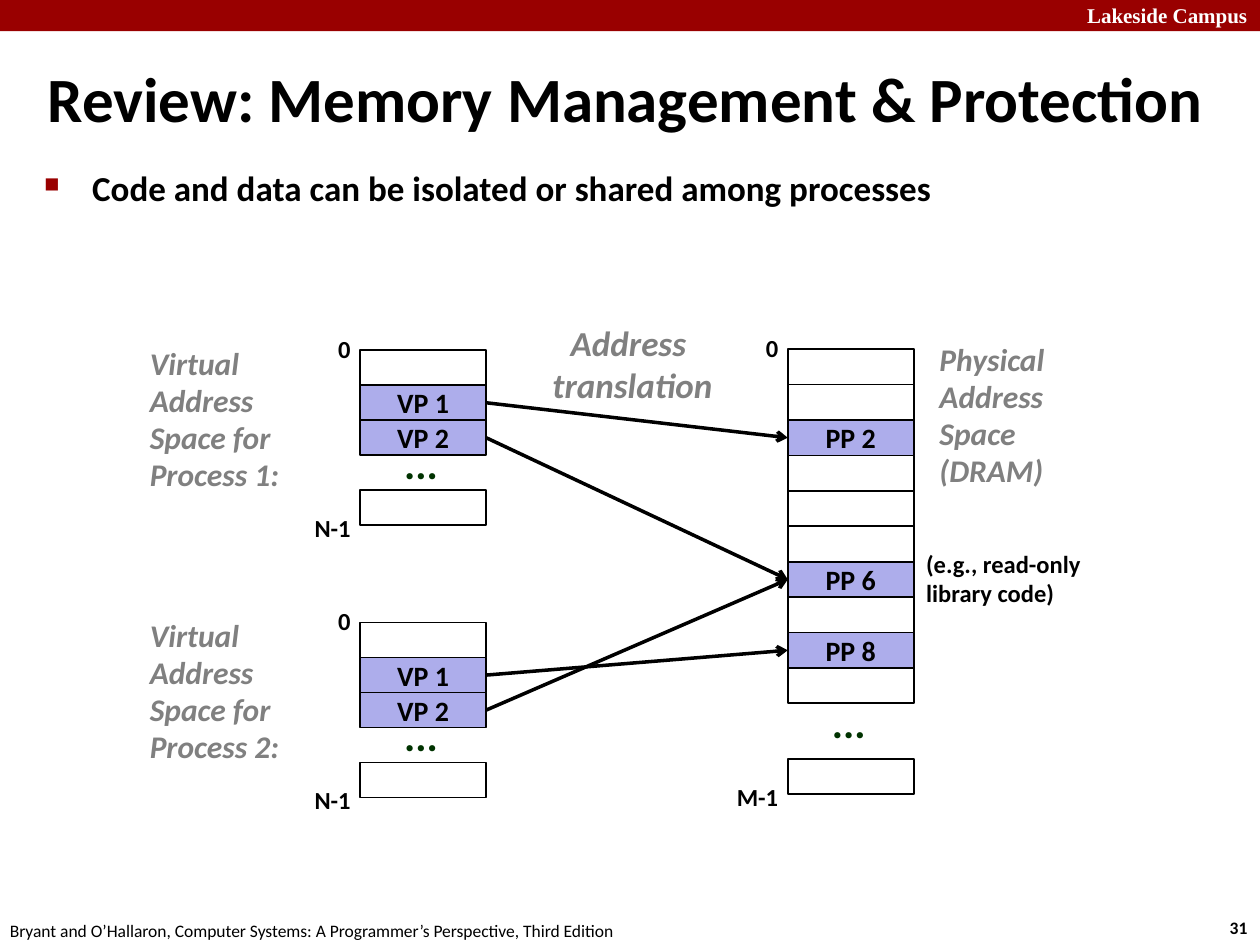
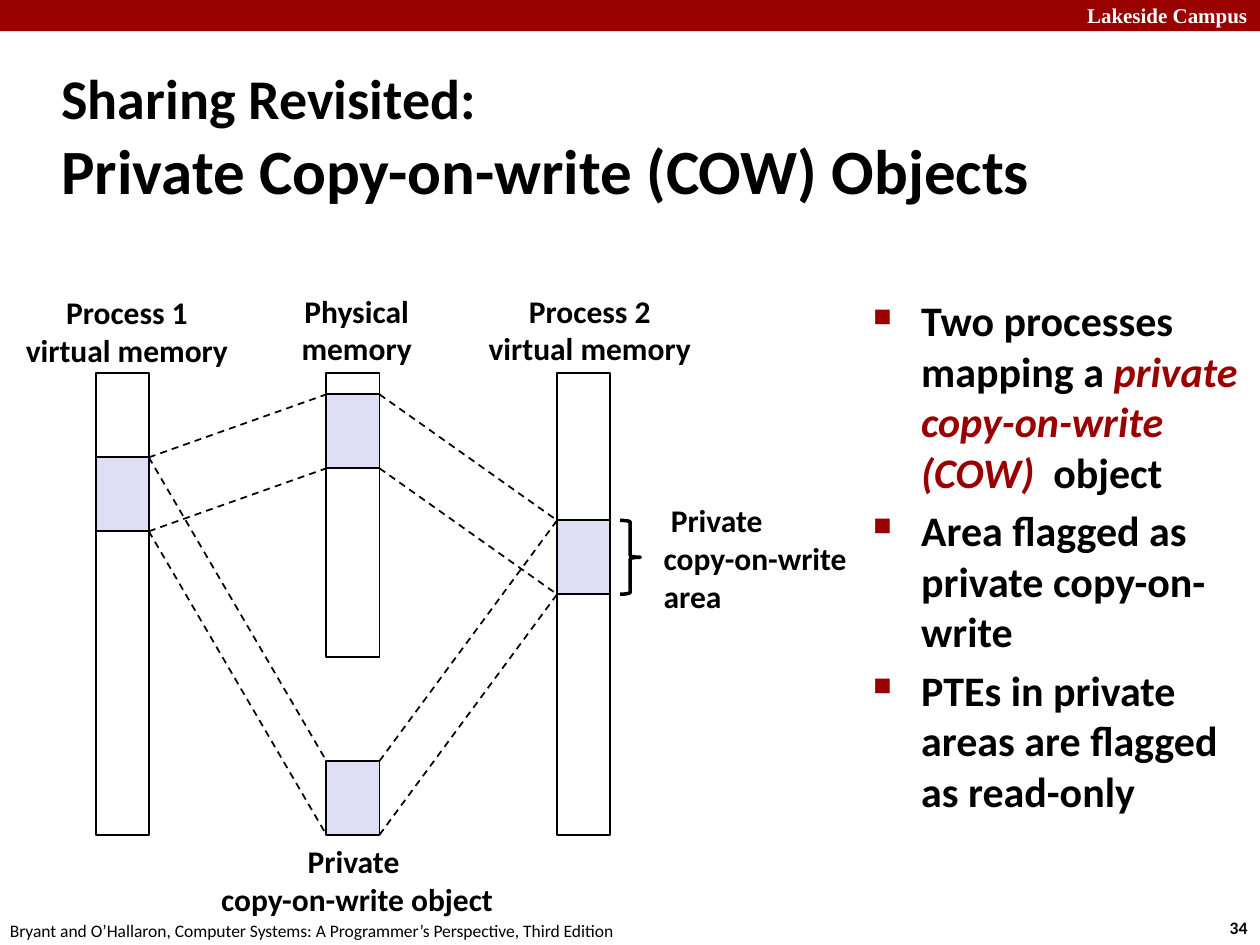
"""Build two slides on shared memory and copy-on-write."""
from dataclasses import dataclass

from lxml import etree
from pptx import Presentation
from pptx.dml.color import RGBColor
from pptx.enum.dml import MSO_LINE
from pptx.enum.shapes import MSO_CONNECTOR, MSO_SHAPE
from pptx.enum.text import MSO_ANCHOR, PP_ALIGN
from pptx.oxml.ns import qn
from pptx.util import Cm, Pt


@dataclass(frozen=True)
class Theme:
    """Hold the colours, fonts and type sizes."""
    red: str = "990000"
    black: str = "000000"
    white: str = "FFFFFF"
    gray: str = "808080"
    green: str = "003300"
    page: str = "ADADEB"
    area: str = "DEDFF5"
    sans: str = "Calibri"
    serif: str = "Times New Roman"
    foot: int = 10
    brand: int = 12
    mark: int = 14
    cell: int = 16
    label: int = 18
    point: int = 20
    large: int = 24
    head: int = 32
    title: int = 36


T = Theme()
MID = {"vertical_anchor": MSO_ANCHOR.MIDDLE}
WRAP = {"word_wrap": True}
CENTER = {"alignment": PP_ALIGN.CENTER}
RIGHT = {"alignment": PP_ALIGN.RIGHT}
TIGHT = {"line_spacing": 0.98}
GRAY = {"color": T.gray, "italic": True}
STEP = 0.706
WIDE = 2.54
SLIM = 1.07
AREA = 1.49


def apply(thing, values):
    """Set each named value on an object."""
    for name, value in values.items():
        setattr(thing, name, value)


def style(font, size, color=T.black, name=T.sans, bold=True, italic=False):
    """Format one font."""
    apply(font, {"size": Pt(size), "name": name, "bold": bold, "italic": italic})
    font.color.rgb = RGBColor.from_string(color)


def bullet(para):
    """Give a paragraph a hanging red square."""
    props = para._p.get_or_add_pPr()
    props.set("marL", str(Cm(0.97)))
    props.set("indent", str(-Cm(0.97)))
    tint = etree.SubElement(props, qn("a:buClr"))
    etree.SubElement(tint, qn("a:srgbClr"), val=T.red)
    etree.SubElement(props, qn("a:buSzPct"), val="60000")
    etree.SubElement(props, qn("a:buChar"), char="■")


def write(frame, lines, size, para=None, dots=False, **look):
    """Fill a frame with lines, each a string or a list of runs."""
    for i, line in enumerate(lines):
        item = frame.add_paragraph() if i else frame.paragraphs[0]
        apply(item, para or {})
        if dots:
            bullet(item)
        for words, extra in [(line, {})] if isinstance(line, str) else line:
            run = item.add_run()
            run.text = words
            style(run.font, **{"size": size, **look, **extra})


def text(slide, box, lines, size, frame=None, **look):
    """Add a text box."""
    body = slide.shapes.add_textbox(*map(Cm, box)).text_frame
    apply(body, {"word_wrap": False, **(frame or {})})
    write(body, lines, size, **look)


def block(slide, box, fill=None, label="", kind=MSO_SHAPE.RECTANGLE, edge=1):
    """Add an outlined shape."""
    shape = slide.shapes.add_shape(kind, *map(Cm, box))
    shape.shadow.inherit = False
    if fill:
        shape.fill.solid()
        shape.fill.fore_color.rgb = RGBColor.from_string(fill)
    else:
        shape.fill.background()
    if edge:
        shape.line.color.rgb = RGBColor.from_string(T.black)
        shape.line.width = Pt(edge)
    else:
        shape.line.fill.background()
    if label:
        apply(shape.text_frame, MID)
        write(shape.text_frame, [label], T.cell, CENTER)


def link(slide, start, end, width=1, dash=False, arrow=False):
    """Join two points with a line."""
    line = slide.shapes.add_connector(MSO_CONNECTOR.STRAIGHT, *map(Cm, start + end))
    line.line.color.rgb = RGBColor.from_string(T.black)
    line.line.width = Pt(width)
    if dash:
        line.line.dash_style = MSO_LINE.DASH
    if arrow:
        etree.SubElement(line.line._get_or_add_ln(), qn("a:tailEnd"), type="arrow")
    etree.SubElement(line._element.spPr, qn("a:effectLst"))


def frame(deck, number):
    """Add a slide with the band and footer."""
    slide = deck.slides.add_slide(deck.slide_layouts[6])
    block(slide, (0, 0, 25.4, 0.63), T.red, edge=0)
    text(slide, (21.4, -0.08, 4, 0.76), ["Lakeside Campus"], T.brand,
         para=RIGHT, color=T.white, name=T.serif)
    text(slide, (24.54, 18.36, 0.86, 0.69), [number], T.foot)
    text(slide, (-0.05, 18.42, 12.9, 0.63),
         ["Bryant and O’Hallaron, Computer Systems: A Programmer’s Perspective, Third Edition"],
         T.foot, bold=False)
    return slide


def stack(slide, x, top, cells, last, gap, step=STEP):
    """Draw a column of pages with its end marks."""
    for row, label in cells.items():
        block(slide, (x, top + row * step, WIDE, step), T.page if label else None, label)
    low = top + max(cells) * step
    for mark, y in (("0", top - 0.43), (last, low + 0.36)):
        text(slide, (x - 1.3, y, 1.36, 0.84), [mark], T.mark, para={**TIGHT, **RIGHT})
    text(slide, (x + 0.64, gap, 1.19, 1.14), ["..."], T.large,
         para={"line_spacing": 0.88, "space_before": Pt(9)}, color=T.green)


def review(deck):
    """Build the slide on address translation."""
    slide = frame(deck, "31")
    text(slide, (0.71, 1.17, 24.49, 1.6), ["Review: Memory Management & Protection"],
         T.title, {**MID, **WRAP})
    text(slide, (0.64, 3.38, 24.33, 2.34),
         ["Code and data can be isolated or shared among processes"], T.point, WRAP,
         para={"line_spacing": 0.83, "space_before": Pt(12)}, dots=True)
    left, right, high, pitch = 7.26, 15.88, 7.04, 0.714
    pages = {row: "" for row in range(10)}
    pages.update({2: "PP 2", 6: "PP 6", 8: "PP 8", 11.57: ""})
    stack(slide, right, high, pages, "M-1", 14.05, pitch)
    maps = ((7.06, {1: 2, 2: 6}), (12.55, {2: 6, 1: 8}))
    for i, (top, pairs) in enumerate(maps, 1):
        text(slide, (2.77, top - 0.22, 3.81, 3.25),
             [f"Virtual Address Space for Process {i}:"], T.label, WRAP, para=TIGHT, **GRAY)
        stack(slide, left, top, {0: "", 1: "VP 1", 2: "VP 2", 4: ""}, "N-1", top + 1.76)
        for here, there in pairs.items():
            link(slide, (left + WIDE, top + (here + 0.5) * STEP),
                 (right, high + (there + 0.5) * pitch), 2, arrow=True)
    text(slide, (18.69, 6.76, 2.97, 3.28), ["Physical", "Address", "Space (DRAM)"],
         T.label, WRAP, para=TIGHT, **GRAY)
    text(slide, (18.42, 10.97, 4.04, 1.42), ["(e.g., read-only", "library code)"],
         T.mark, WRAP, para=TIGHT)
    text(slide, (10.87, 6.35, 3.76, 1.96), ["Address ", "translation"], T.point,
         para=CENTER, **GRAY)


def share(deck):
    """Build the slide on private copy-on-write."""
    slide = frame(deck, "34")
    text(slide, (0.99, 1.22, 21.08, 3.02),
         [[("Sharing Revisited:", {"size": T.head})], "Private Copy-on-write (COW) Objects"],
         T.title, {**MID, **WRAP})
    text(slide, (17.35, 5.82, 8.05, 11.63),
         [[("Two processes mapping a ", {}),
           ("private copy-on-write (COW) ", {"color": T.red, "italic": True}),
           (" object", {})],
          "Area flagged as private copy-on-write",
          "PTEs in private areas are flagged as read-only"],
         T.large, WRAP, para={"space_before": Pt(4.8)}, dots=True)
    one, core, two = (1.93 + 4.65 * i for i in range(3))
    spots = {"one": (one, 9.22), "core": (core, 7.95), "two": (two, 10.49),
             "copy": (core, 15.34)}
    for x, high in ((one, 9.32), (core, 5.72), (two, 9.32)):
        block(slide, (x, 7.52, SLIM, high))
    for spot in spots.values():
        block(slide, (*spot, SLIM, AREA), T.area)
    for a, b in (("one", "copy"), ("copy", "two"), ("one", "core"), ("core", "two")):
        (x, y), (end, low) = spots[a], spots[b]
        for drop in (0, AREA):
            link(slide, (x + SLIM, y + drop), (end, low + drop), dash=True)
    labels = (
        (0.25, 5.77, 4.62, ["Process 1", "virtual memory"]),
        (5.82, 5.74, 2.74, ["Physical", "memory"]),
        (9.58, 5.74, 4.62, ["Process 2", "virtual memory"]),
        (4.19, 16.84, 6.02, ["Private ", "copy-on-write object"]),
    )
    for x, y, width, lines in labels:
        text(slide, (x, y, width, 1.8), lines, T.label, MID, para=CENTER)
    text(slide, (13.13, 9.96, 4.22, 2.57), [" Private", "copy-on-write", "area"],
         T.label, MID)
    block(slide, (12.5, 10.49, 0.41, AREA), kind=MSO_SHAPE.RIGHT_BRACE, edge=2)


def main():
    """Make and save the deck."""
    deck = Presentation()
    apply(deck, {"slide_width": Cm(25.4), "slide_height": Cm(19.05)})
    review(deck)
    share(deck)
    deck.save("out.pptx")


if __name__ == "__main__":
    main()
